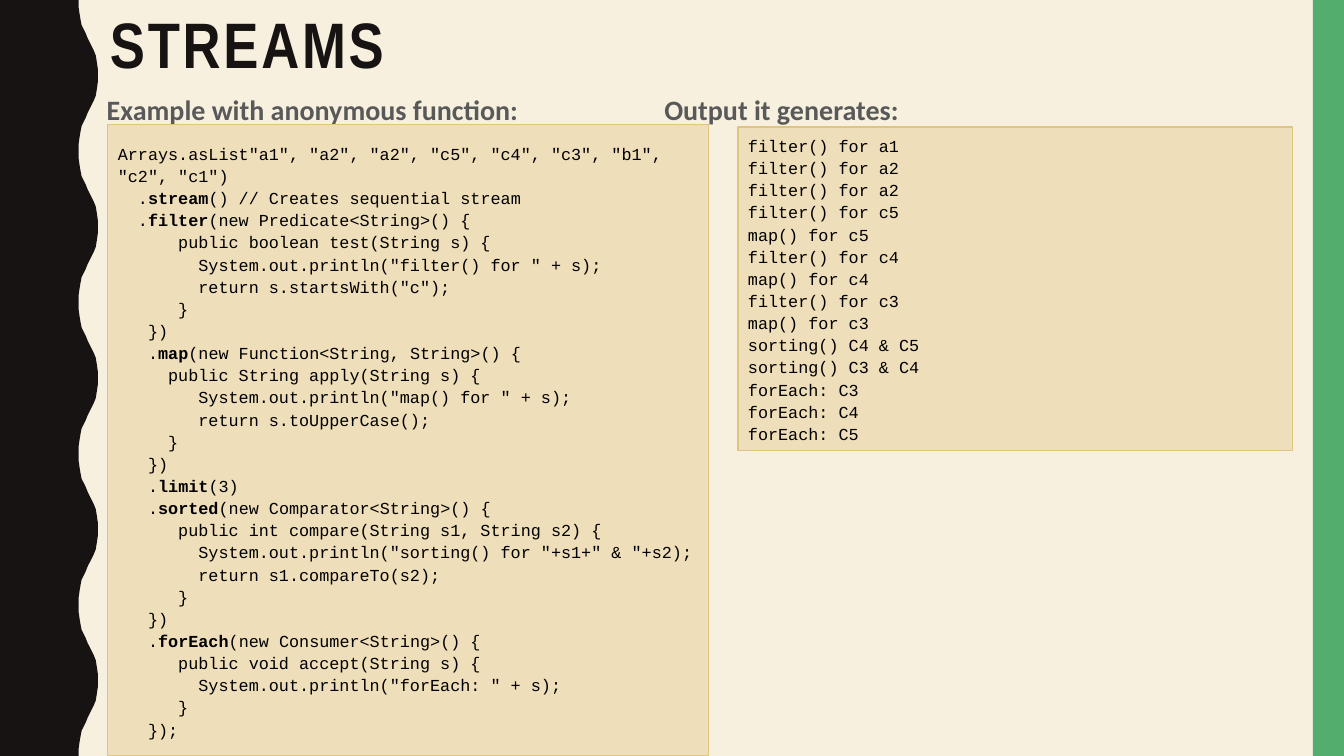
"""Builds the Streams slide with a Java example and the output it prints."""
from pptx import Presentation
from pptx.dml.color import RGBColor
from pptx.enum.shapes import MSO_SHAPE
from pptx.enum.text import MSO_ANCHOR, PP_ALIGN
from pptx.util import Inches, Pt

CREAM = RGBColor(0xF7, 0xF0, 0xDF)
INK = RGBColor(0x17, 0x13, 0x12)
GREEN = RGBColor(0x53, 0xAE, 0x6E)
SAND = RGBColor(0xEE, 0xDE, 0xB9)
GOLD = RGBColor(0xE0, 0xC4, 0x81)
GRAY = RGBColor(0x59, 0x59, 0x59)
BLACK = RGBColor(0, 0, 0)

WAVE_PERIOD = 1.5
HALF_WAVE = [(0.78, 0), (0.78, 0.07), (0.79, 0.14), (0.8, 0.2), (0.81, 0.25),
             (0.83, 0.29), (0.85, 0.33), (0.87, 0.38), (0.89, 0.42), (0.91, 0.46),
             (0.93, 0.5), (0.95, 0.55), (0.96, 0.61), (0.97, 0.68)]

CODE = '''Arrays.asList"a1", "a2", "a2", "c5", "c4", "c3", "b1", "c2", "c1")
  .stream() // Creates sequential stream
  .filter(new Predicate<String>() {
      public boolean test(String s) {
        System.out.println("filter() for " + s);
        return s.startsWith("c");
      }
   })
   .map(new Function<String, String>() {
     public String apply(String s) {
        System.out.println("map() for " + s);
        return s.toUpperCase();
     }
   })
   .limit(3)
   .sorted(new Comparator<String>() {
      public int compare(String s1, String s2) {
        System.out.println("sorting() for "+s1+" & "+s2);
        return s1.compareTo(s2);
      }
   })
   .forEach(new Consumer<String>() {
      public void accept(String s) {
        System.out.println("forEach: " + s);
      }
   });'''

OUTPUT = '''filter() for a1
filter() for a2
filter() for a2
filter() for c5
map() for c5
filter() for c4
map() for c4
filter() for c3
map() for c3
sorting() C4 & C5
sorting() C3 & C4
forEach: C3
forEach: C4
forEach: C5'''


class SlideBuilder:
    """Holds the slide and its style, and adds each kind of element."""

    def __init__(self, prs):
        self.s = prs.slides.add_slide(prs.slide_layouts[5])
        fill = self.s.background.fill
        fill.solid()
        fill.fore_color.rgb = CREAM

    def paint(self, sp, color, line=None):
        sp.shadow.inherit = False
        sp.fill.solid()
        sp.fill.fore_color.rgb = color
        if line is None:
            sp.line.fill.background()
        else:
            sp.line.color.rgb = line
            sp.line.width = Pt(0.75)

    def style(self, p, name, size, color, bold, spacing):
        p.alignment = PP_ALIGN.LEFT
        p.line_spacing = spacing
        font = p.font
        font.name, font.size, font.bold = name, Pt(size), bold
        font.color.rgb = color

    def title(self, text, left, top, width, height):
        sp = self.s.shapes.title
        sp.left, sp.top = Inches(left), Inches(top)
        sp.width, sp.height = Inches(width), Inches(height)
        tf = sp.text_frame
        tf.text = text
        tf.vertical_anchor = MSO_ANCHOR.TOP
        p = tf.paragraphs[0]
        self.style(p, "Arial Narrow", 45.9, INK, True, 0.9)
        p.runs[0].font._element.set("spc", "200")

    def wave(self, height):
        edge = HALF_WAVE + [(0.97, WAVE_PERIOD / 2)]
        edge += [(x, WAVE_PERIOD - y) for x, y in reversed(HALF_WAVE)]
        points = [(Inches(x), Inches(y + i * WAVE_PERIOD))
                  for i in range(round(height / WAVE_PERIOD)) for x, y in edge]
        ff = self.s.shapes.build_freeform(0, 0)
        ff.add_line_segments(points + [(0, Inches(height))], close=True)
        self.paint(ff.convert_to_shape(), INK)

    def box(self, left, top, width, height, color, line=None):
        sp = self.s.shapes.add_shape(MSO_SHAPE.RECTANGLE, Inches(left), Inches(top),
                                     Inches(width), Inches(height))
        self.paint(sp, color, line)
        return sp

    def heading(self, text, left, top, width, height):
        sp = self.s.shapes.add_textbox(Inches(left), Inches(top),
                                       Inches(width), Inches(height))
        tf = sp.text_frame
        tf.word_wrap = True
        tf.text = text
        self.style(tf.paragraphs[0], "Calibri", 20, GRAY, True, 1.2)

    def listing(self, text, left, top, width, height):
        tf = self.box(left, top, width, height, SAND, GOLD).text_frame
        tf.word_wrap = True
        tf.vertical_anchor = MSO_ANCHOR.MIDDLE
        for i, line in enumerate(text.split("\n")):
            p = tf.add_paragraph() if i else tf.paragraphs[0]
            self.style(p, "Courier New", 12, BLACK, False, 1.1)
            if line.lstrip().startswith("."):
                lead, name = line.split(".", 1)
                name, rest = name.split("(", 1)
                p.add_run().text = lead + "."
                r = p.add_run()
                r.text = name
                r.font.bold = True
                line = "(" + rest
            p.add_run().text = line


prs = Presentation()
prs.slide_width, prs.slide_height = Inches(13.33), Inches(7.5)
slide = SlideBuilder(prs)
slide.wave(7.5)
slide.box(13.02, 0, 0.31, 7.5, GREEN)
slide.title("STREAMS", 0.99, 0.08, 12.04, 0.67)
slide.heading("Example with anonymous function:", 0.96, 0.8, 5.5, 0.5)
slide.heading("Output it generates:", 6.49, 0.8, 5.5, 0.5)
slide.listing(CODE, 1.07, 1.24, 5.96, 6.26)
slide.listing(OUTPUT, 7.32, 1.26, 5.5, 3.21)
prs.save("out.pptx")
